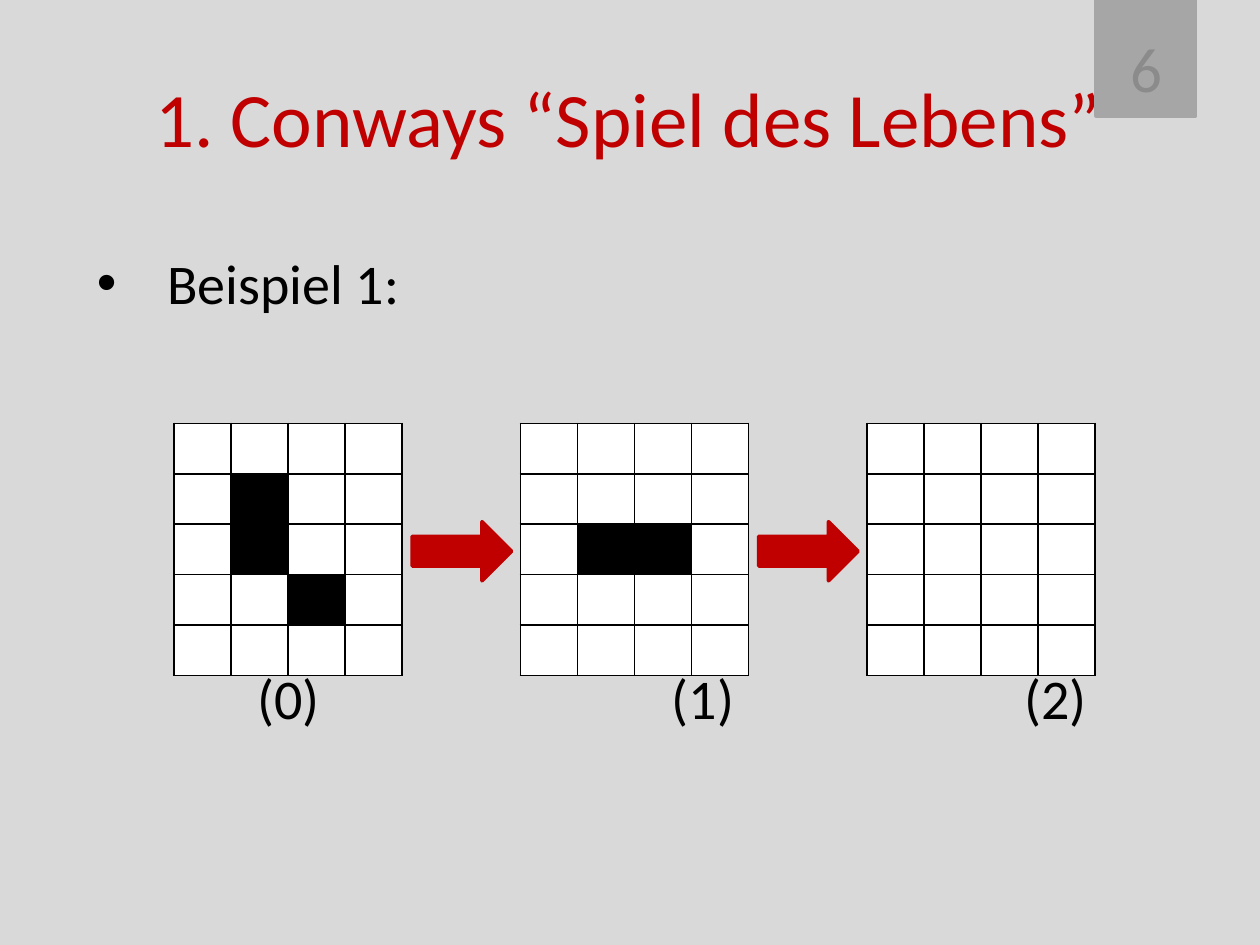
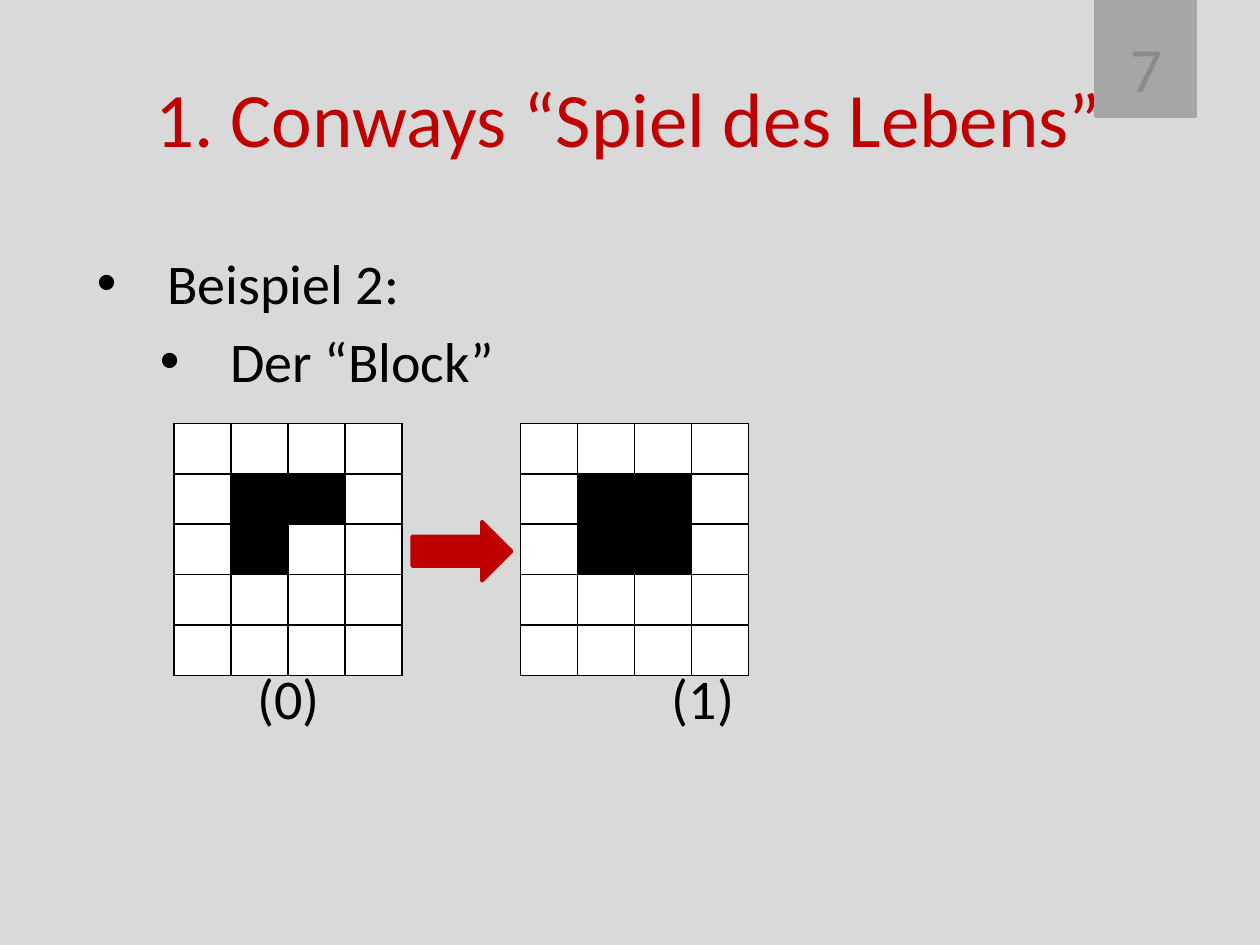
from pptx import Presentation
from pptx import util as u
from pptx.dml.color import RGBColor
from pptx.enum import shapes, text
from pptx.oxml import ns
from lxml import etree

RED = RGBColor(0xC0, 0x00, 0x00)
BLACK = RGBColor(0x00, 0x00, 0x00)
WHITE = RGBColor(0xFF, 0xFF, 0xFF)
PAPER = RGBColor(0xD9, 0xD9, 0xD9)
BAND = RGBColor(0xA6, 0xA6, 0xA6)
DIM = RGBColor(0x8B, 0x8B, 0x8B)

ROWS, COLS = 5, 4
LEFT, TOP, PITCH = 1.38, 3.36, 2.75
WIDTH, HEIGHT = 1.81, 2
LABELS = (2.29, 5.58, 8.38)
TITLE = "1. Conways “Spiel des Lebens”"


class Deck:
    """Holds the shared style and draws on the current slide."""

    font = "Calibri"

    def __init__(self):
        self.prs = Presentation()
        self.prs.slide_width = u.Inches(10)
        self.prs.slide_height = u.Inches(7.5)

    def page(self, number):
        self.slide = self.prs.slides.add_slide(self.prs.slide_layouts[6])
        fill = self.slide.background.fill
        fill.solid()
        fill.fore_color.rgb = PAPER
        self.title()
        self.band(number)

    def box(self, x, y, w, h):
        frame = self.slide.shapes.add_textbox(*map(u.Inches, (x, y, w, h))).text_frame
        frame.word_wrap = True
        return frame

    def run(self, para, words, size, color):
        run = para.add_run()
        run.text = words
        run.font.name = self.font
        run.font.size = u.Pt(size)
        run.font.color.rgb = color

    def shape(self, kind, x, y, w, h, color):
        shape = self.slide.shapes.add_shape(kind, *map(u.Inches, (x, y, w, h)))
        shape.shadow.inherit = False
        shape.fill.solid()
        shape.fill.fore_color.rgb = color
        shape.line.color.rgb = color
        shape.line.width = u.Pt(2)
        return shape

    def title(self):
        frame = self.box(0.49, 0.3, 9, 1.25)
        frame.vertical_anchor = text.MSO_ANCHOR.MIDDLE
        para = frame.paragraphs[0]
        para.alignment = text.PP_ALIGN.CENTER
        self.run(para, TITLE, 44, RED)

    def band(self, number):
        shape = self.shape(shapes.MSO_SHAPE.RECTANGLE, 8.7, 0, 0.79, 0.92, BAND)
        frame = shape.text_frame
        frame.margin_top, frame.margin_bottom = u.Inches(0.15), 0
        para = frame.paragraphs[0]
        para.alignment = text.PP_ALIGN.CENTER
        self.run(para, str(number), 36, DIM)

    def bullets(self, lines):
        frame = self.box(0.67, 1.92, 9, 4.95)
        for level, words in enumerate(lines):
            para = frame.add_paragraph() if level else frame.paragraphs[0]
            para.level = level
            if level:
                para.space_before = u.Pt(6.4)
            props = para._p.get_or_add_pPr()
            props.set("marL", str(u.Inches(0.56 + 0.5 * level)))
            props.set("indent", str(u.Inches(-0.56)))
            etree.SubElement(props, ns.qn("a:buFont")).set("typeface", "Arial")
            etree.SubElement(props, ns.qn("a:buChar")).set("char", "•")
            self.run(para, words, 32, BLACK)

    def border(self, cell):
        props = cell._tc.get_or_add_tcPr()
        for side in ("lnL", "lnR", "lnT", "lnB"):
            line = etree.SubElement(props, ns.qn("a:" + side), w=str(u.Pt(1)))
            fill = etree.SubElement(line, ns.qn("a:solidFill"))
            etree.SubElement(fill, ns.qn("a:srgbClr"), val=str(BLACK))

    def grid(self, x, alive):
        area = map(u.Inches, (x, TOP, WIDTH, HEIGHT))
        table = self.slide.shapes.add_table(ROWS, COLS, *area).table
        table.first_row = table.horz_banding = False
        for row in range(ROWS):
            for col in range(COLS):
                cell = table.cell(row, col)
                self.border(cell)
                cell.fill.solid()
                cell.fill.fore_color.rgb = BLACK if (row, col) in alive else WHITE

    def arrow(self, x):
        self.shape(shapes.MSO_SHAPE.RIGHT_ARROW, x, 4.14, 0.79, 0.47, RED)

    def label(self, step):
        frame = self.box(LABELS[step] - 0.5, 5.22, 1, 0.64)
        para = frame.paragraphs[0]
        para.alignment = text.PP_ALIGN.CENTER
        self.run(para, f"({step})", 32, BLACK)

    def steps(self, states):
        for step, alive in enumerate(states):
            x = LEFT + PITCH * step
            self.grid(x, alive)
            self.label(step)
            if step:
                self.arrow(x - 0.86)


PAGES = (
    (6, ("Beispiel 1:",), ({(1, 1), (2, 1), (3, 2)}, {(2, 1), (2, 2)}, set())),
    (7, ("Beispiel 2:", "Der “Block”"),
     ({(1, 1), (1, 2), (2, 1)}, {(1, 1), (1, 2), (2, 1), (2, 2)})),
)

deck = Deck()
for number, lines, states in PAGES:
    deck.page(number)
    deck.bullets(lines)
    deck.steps(states)
deck.prs.save("out.pptx")
